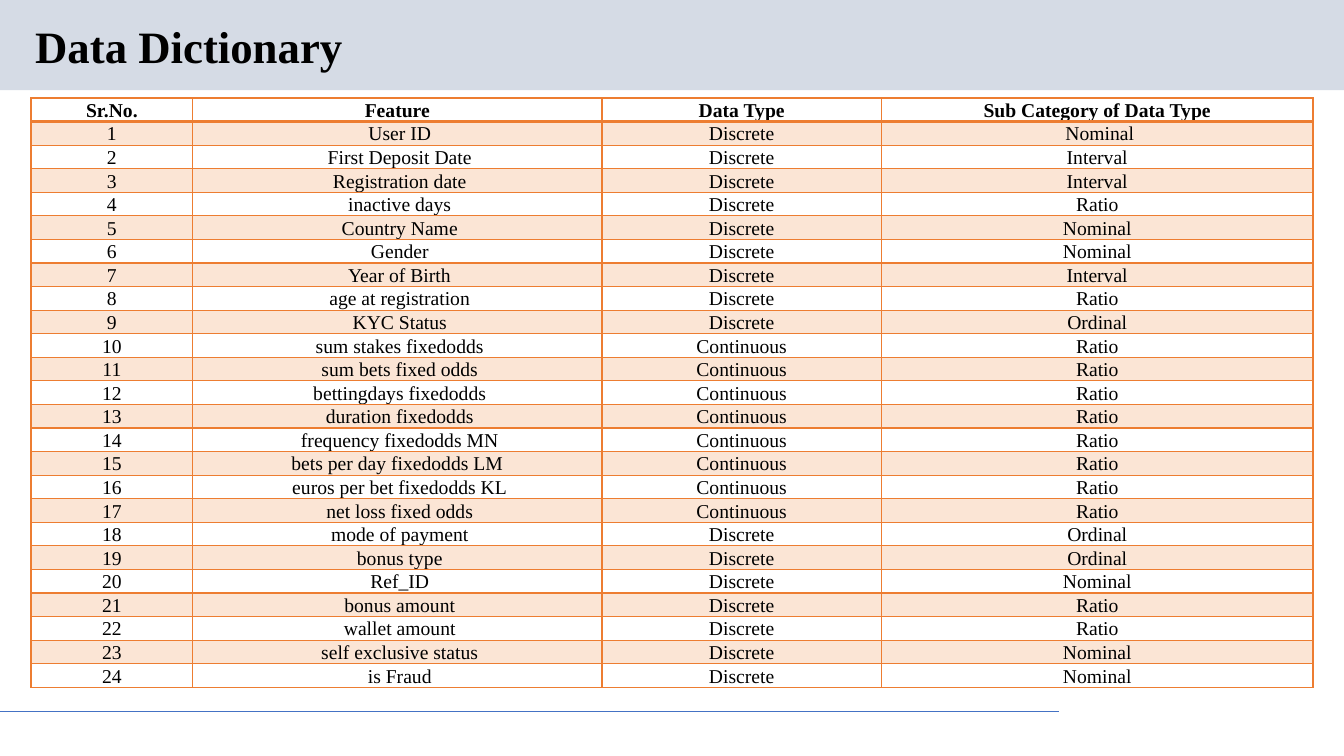
from lxml import etree
from pptx import Presentation
from pptx import oxml
from pptx import util as u
from pptx.dml.color import RGBColor
from pptx.enum import shapes, text
from pptx.oxml.ns import qn

Pt = u.Pt
FONT = "Times New Roman"
COLORS = {"band": "D5DBE5", "rule": "4472C4", "accent": "ED7D31", "text": "000000"}

# Table content
HEADER = ("Sr.No.", "Feature", "Data Type", "Sub Category of Data Type")
FEATURES = [
    (" User ID", "Discrete", " Nominal"),
    (" First Deposit Date", "Discrete", "Interval"),
    (" Registration date", "Discrete", "Interval"),
    (" inactive days", "Discrete", "Ratio"),
    (" Country Name", "Discrete", "Nominal"),
    (" Gender", "Discrete", "Nominal"),
    (" Year of Birth", "Discrete", "Interval"),
    (" age at registration", "Discrete", "Ratio"),
    (" KYC Status", "Discrete", "Ordinal"),
    (" sum stakes fixedodds", "Continuous", "Ratio"),
    (" sum bets fixed odds", "Continuous", "Ratio"),
    (" bettingdays fixedodds", "Continuous", "Ratio"),
    (" duration fixedodds", "Continuous", "Ratio"),
    (" frequency fixedodds MN", "Continuous", "Ratio"),
    ("bets per day fixedodds LM", "Continuous", "Ratio"),
    (" euros per bet fixedodds KL", "Continuous", "Ratio"),
    (" net loss fixed odds", "Continuous", "Ratio"),
    (" mode of payment", "Discrete", "Ordinal"),
    (" bonus type", "Discrete", "Ordinal"),
    (" Ref_ID", "Discrete", "Nominal"),
    (" bonus amount", "Discrete", "Ratio"),
    (" wallet amount", "Discrete", "Ratio"),
    (" self exclusive status", "Discrete", "Nominal"),
    (" is Fraud", "Discrete", "Nominal"),
]
COLUMN_WIDTHS = (115.5, 292.3, 199.7, 308.3)
ROW_HEIGHT = 16.79


def rgb(name):
    return RGBColor.from_string(COLORS[name])


def add_run(p, words, size, bold=False):
    r = p.add_run()
    r.text = words
    r.font.name = FONT
    r.font.size = Pt(size)
    r.font.bold = bold
    r.font.color.rgb = rgb("text")


def add_band(s, left, top, width, height):
    sp = s.shapes.add_shape(shapes.MSO_SHAPE.RECTANGLE,
                            Pt(left), Pt(top), Pt(width), Pt(height))
    sp.shadow.inherit = False
    sp.fill.solid()
    sp.fill.fore_color.rgb = rgb("band")
    sp.line.fill.background()


def add_rule(s, x1, x2, y):
    line = s.shapes.add_connector(shapes.MSO_CONNECTOR.STRAIGHT,
                                  Pt(x1), Pt(y), Pt(x2), Pt(y))
    line.line.color.rgb = rgb("rule")
    line.line.width = Pt(0.75)
    etree.SubElement(line._element.spPr, qn("a:effectLst"))


def add_title(s, words, left, top, width, height):
    tf = s.shapes.add_textbox(Pt(left), Pt(top), Pt(width), Pt(height)).text_frame
    tf.word_wrap = True
    tf.vertical_anchor = text.MSO_ANCHOR.MIDDLE
    p = tf.paragraphs[0]
    p.line_spacing = 0.9
    add_run(p, words, 32, bold=True)


def set_border(cell, side, width):
    tc_pr = cell._tc.get_or_add_tcPr()
    ln = etree.SubElement(tc_pr, qn(f"a:ln{side}"), w=str(Pt(width)))
    fill = etree.SubElement(ln, qn("a:solidFill"))
    etree.SubElement(fill, qn("a:srgbClr"), val=COLORS["accent"])


def fill_cell(cell, shaded):
    if not shaded:
        cell.fill.background()
        return
    cell.fill.solid()
    cell.fill.fore_color.rgb = rgb("accent")
    color = cell._tc.tcPr.find(f"{qn('a:solidFill')}/{qn('a:srgbClr')}")
    etree.SubElement(color, qn("a:alpha"), val="20000")


def add_table(s, rows, left, top):
    table = s.shapes.add_table(len(rows), len(COLUMN_WIDTHS), Pt(left), Pt(top),
                               Pt(sum(COLUMN_WIDTHS)),
                               Pt(ROW_HEIGHT * len(rows))).table
    table.first_row = table.horz_banding = False
    for column, width in zip(table.columns, COLUMN_WIDTHS):
        column.width = Pt(width)
    for i, row in enumerate(rows):
        table.rows[i].height = Pt(ROW_HEIGHT)
        for j, words in enumerate(row):
            cell = table.cell(i, j)
            cell.margin_left = cell.margin_right = 0
            cell.margin_top = cell.margin_bottom = 0
            cell.vertical_anchor = text.MSO_ANCHOR.BOTTOM
            p = cell.text_frame.paragraphs[0]
            p.alignment = text.PP_ALIGN.CENTER
            add_run(p, words, 14, bold=i == 0)
            # The edge between header and body is heavier
            for side in "LRTB":
                heavy = (i, side) in ((0, "B"), (1, "T"))
                set_border(cell, side, 2 if heavy else 1)
            fill_cell(cell, shaded=i % 2 == 1)


def main():
    prs = Presentation()
    prs.slide_width, prs.slide_height = Pt(960), Pt(540)
    s = prs.slides.add_slide(prs.slide_layouts[6])

    # Header band, footer rule and title
    add_band(s, 0, 0, 960, 64.5)
    add_rule(s, 0, 756.5, 508.2)
    add_title(s, "Data Dictionary", 18, 13.5, 828, 42.5)

    # Numbered feature table
    body = [(str(n), *feature) for n, feature in enumerate(FEATURES, 1)]
    add_table(s, [HEADER, *body], 22.2, 70)

    prs.save("out.pptx")


if __name__ == "__main__":
    main()
